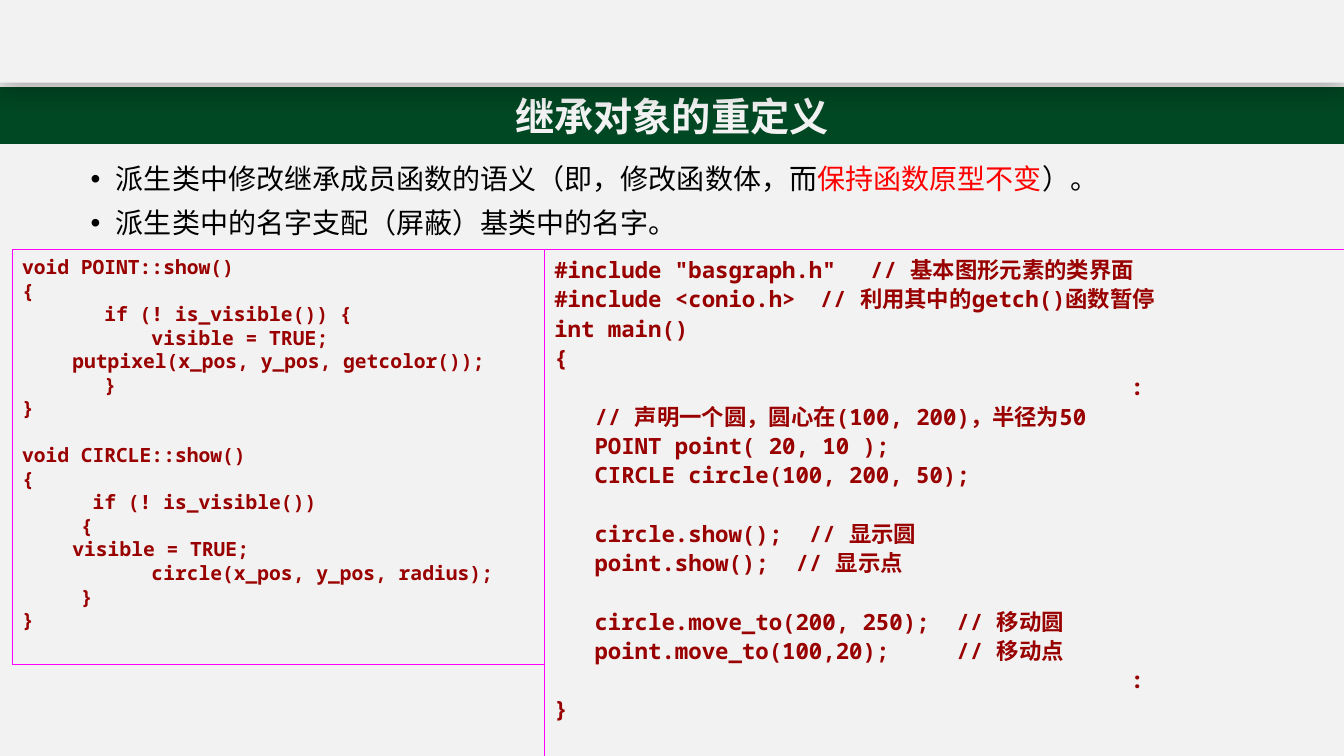
from dataclasses import dataclass

from lxml import etree
from pptx import Presentation
from pptx import util as u
from pptx.dml.color import RGBColor
from pptx.enum import shapes, text
from pptx.oxml import ns

PAPER = RGBColor(0xF2, 0xF2, 0xF2)
GREEN = RGBColor(0x00, 0x47, 0x23)
BLACK = RGBColor(0x00, 0x00, 0x00)
RED = RGBColor(0xFF, 0x00, 0x00)
MAGENTA = RGBColor(0xFF, 0x00, 0xFF)
MAROON = RGBColor(0x99, 0x00, 0x00)
SANS = "Noto Sans CJK SC"
MONO = "Noto Sans Mono"

POINT_AND_CIRCLE = """void POINT::show()
{
       if (! is_visible()) {
           visible = TRUE;
\tputpixel(x_pos, y_pos, getcolor());
       }
}

void CIRCLE::show()
{
      if (! is_visible())
     {
\tvisible = TRUE;
           circle(x_pos, y_pos, radius);
     }
}"""

MAIN = """#include "basgraph.h"\t // 基本图形元素的类界面
#include <conio.h>\t // 利用其中的getch()函数暂停
int main()
{
                                           :
   // 声明一个圆，圆心在(100, 200)，半径为50
   POINT point( 20, 10 );
   CIRCLE circle(100, 200, 50);

   circle.show();  // 显示圆
   point.show();  // 显示点

   circle.move_to(200, 250);  // 移动圆
   point.move_to(100,20);     // 移动点
                                           :
}"""


@dataclass(frozen=True)
class Box:
    left: float
    top: float
    width: float
    height: float

    def lengths(self):
        return [u.Inches(v) for v in (self.left, self.top, self.width, self.height)]


@dataclass(frozen=True)
class Listing:
    box: Box
    code: str
    size: float
    spacing: float
    before: float
    blank: float


LISTINGS = (
    Listing(Box(0.12, 2.48, 5.28, 4.11), POINT_AND_CIRCLE, 14, 1, 0, 16.8),
    Listing(Box(5.4, 2.48, 8.06, 5.1), MAIN, 16, 1.05, 0.8, 20.9),
)
POINTS = (
    (
        ("派生类中修改继承成员函数的语义（即，修改函数体，而", BLACK),
        ("保持函数原型不变", RED),
        ("）。", BLACK),
    ),
    (("派生类中的名字支配（屏蔽）基类中的名字。", BLACK),),
)


def apply(obj, formats: dict) -> None:
    for name, value in formats.items():
        setattr(obj, name, value)


def add_run(p, words: str, face: str, size: float, color: RGBColor, bold: bool) -> None:
    r = p.add_run()
    r.text = words
    apply(r.font, {"name": face, "size": u.Pt(size), "bold": bold})
    r.font.color.rgb = color
    etree.SubElement(r.font._element, ns.qn("a:ea"), typeface=face)


def place(sp, box: Box) -> None:
    apply(sp, dict(zip(("left", "top", "width", "height"), box.lengths())))


def add_rect(s, box: Box):
    sp = s.shapes.add_shape(shapes.MSO_SHAPE.RECTANGLE, *box.lengths())
    sp.shadow.inherit = False
    return sp


def add_top_band(s) -> None:
    sp = add_rect(s, Box(0, -0.05, 13.33, 0.87))
    sp.fill.solid()
    sp.fill.fore_color.rgb = PAPER
    sp.line.fill.background()
    effects = sp._element.spPr.find(ns.qn("a:effectLst"))
    shadow = etree.SubElement(
        effects, ns.qn("a:outerShdw"), blurRad=str(u.Pt(18)), dist=str(u.Pt(4)),
        dir="5400000", algn="t", rotWithShape="0",
    )
    color = etree.SubElement(shadow, ns.qn("a:srgbClr"), val=str(BLACK))
    etree.SubElement(color, ns.qn("a:alpha"), val="29000")


def fill_title(sp) -> None:
    place(sp, Box(0, 0.87, 13.33, 0.55))
    sp.fill.solid()
    sp.fill.fore_color.rgb = GREEN
    sp.line.color.rgb = GREEN
    sp.line.width = u.Pt(1)
    tf = sp.text_frame
    apply(tf, {"auto_size": text.MSO_AUTO_SIZE.NONE,
               "vertical_anchor": text.MSO_ANCHOR.MIDDLE})
    p = tf.paragraphs[0]
    p.alignment = text.PP_ALIGN.CENTER
    add_run(p, "继承对象的重定义", SANS, 28, PAPER, True)


def fill_body(sp) -> None:
    place(sp, Box(0.8, 1.59, 11.95, 0.87))
    tf = sp.text_frame
    apply(tf, {"auto_size": text.MSO_AUTO_SIZE.NONE,
               "vertical_anchor": text.MSO_ANCHOR.TOP})
    for i, parts in enumerate(POINTS):
        p = tf.add_paragraph() if i else tf.paragraphs[0]
        pPr = p._p.get_or_add_pPr()
        pPr.set("marL", str(u.Inches(0.25)))
        pPr.set("indent", str(u.Inches(-0.25)))
        etree.SubElement(pPr, ns.qn("a:buFont"), typeface="Arial")
        etree.SubElement(pPr, ns.qn("a:buChar"), char="•")
        apply(p, {"line_spacing": u.Pt(21.4), "space_before": u.Pt(10 if i else 0),
                  "alignment": text.PP_ALIGN.LEFT})
        for words, color in parts:
            add_run(p, words, SANS, 20, color, False)


def add_listing(s, item: Listing) -> None:
    sp = add_rect(s, item.box)
    sp.fill.background()
    sp.line.color.rgb = MAGENTA
    sp.line.width = u.Pt(0.75)
    tf = sp.text_frame
    apply(tf, {"word_wrap": True, "auto_size": text.MSO_AUTO_SIZE.NONE,
               "vertical_anchor": text.MSO_ANCHOR.TOP, "margin_right": u.Inches(0.15)})
    p, before = tf.paragraphs[0], 0
    for i, line in enumerate(item.code.split("\n")):
        if not line:
            before += item.blank
            continue
        if i:
            p = tf.add_paragraph()
        apply(p, {"alignment": text.PP_ALIGN.LEFT, "line_spacing": item.spacing,
                  "space_before": u.Pt(before)})
        add_run(p, line, MONO, item.size, MAROON, True)
        before = item.before


def main() -> None:
    prs = Presentation()
    apply(prs, {"slide_width": u.Inches(13.33), "slide_height": u.Inches(7.5)})
    s = prs.slides.add_slide(prs.slide_layouts[1])
    s.background.fill.solid()
    s.background.fill.fore_color.rgb = PAPER
    add_top_band(s)
    fill_title(s.shapes.title)
    fill_body(s.placeholders[1])
    for item in LISTINGS:
        add_listing(s, item)
    prs.save("out.pptx")


if __name__ == "__main__":
    main()
